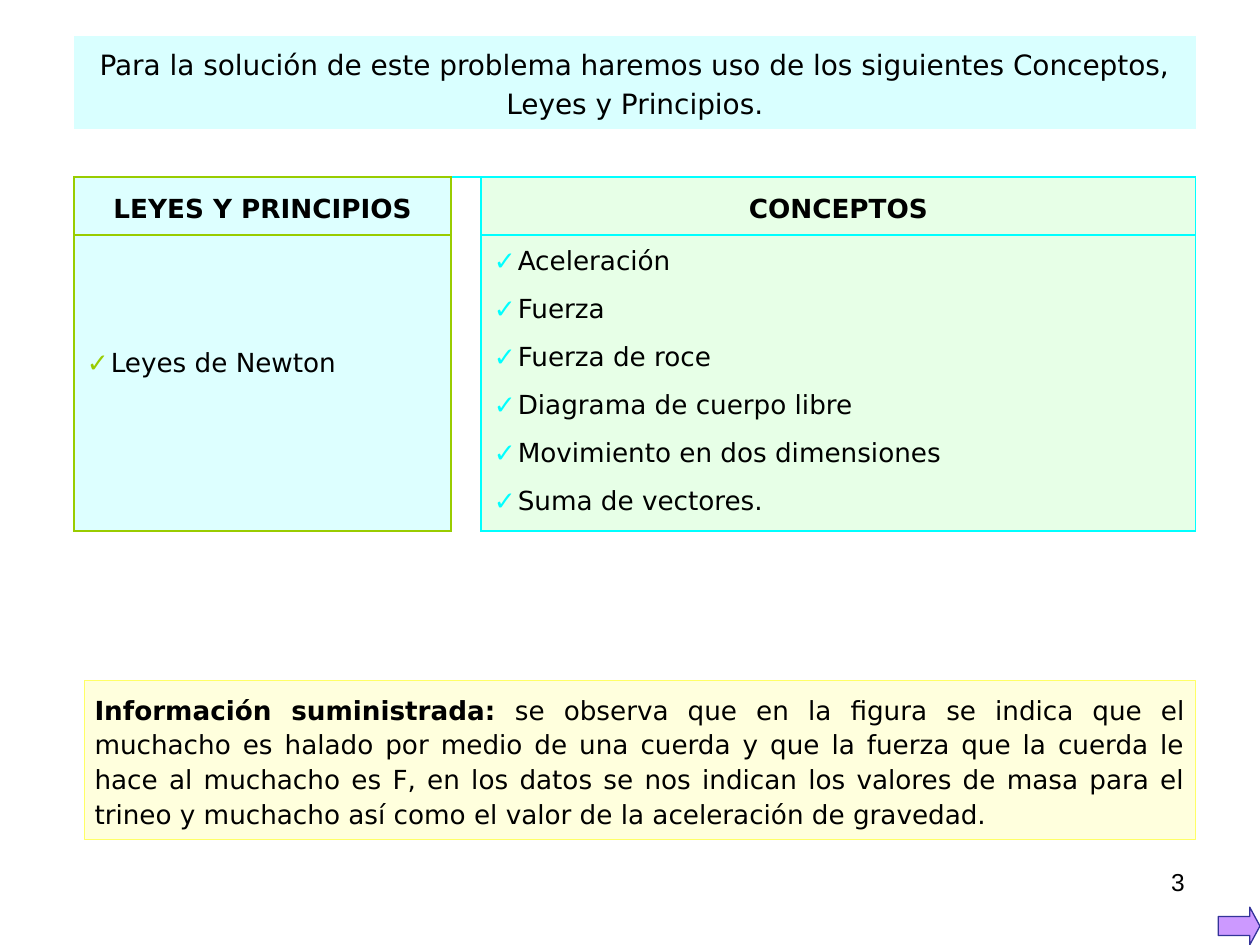
from dataclasses import dataclass

from lxml.etree import SubElement
from pptx import Presentation
from pptx.dml.color import RGBColor
from pptx.enum.shapes import MSO_SHAPE
from pptx.enum.text import MSO_ANCHOR, PP_ALIGN
from pptx.oxml import parse_xml
from pptx.oxml.ns import nsdecls, qn
from pptx.util import Pt

BLACK = RGBColor(0x00, 0x00, 0x00)
WHITE = RGBColor(0xFF, 0xFF, 0xFF)
GREEN = RGBColor(0x99, 0xCC, 0x00)
CYAN = RGBColor(0x00, 0xFF, 0xFF)
SKY = RGBColor(0xD9, 0xFF, 0xFF)
ICE = RGBColor(0xDD, 0xFF, 0xFF)
MINT = RGBColor(0xE7, 0xFF, 0xE7)
CREAM = RGBColor(0xFF, 0xFF, 0xDD)
YELLOW = RGBColor(0xFF, 0xFF, 0x66)
LILAC = RGBColor(0xCC, 0x99, 0xFF)
NAVY = RGBColor(0x33, 0x33, 0x99)

FONT = "DejaVu Sans"
PLAIN = "{2D5ABB26-0587-4C30-8999-92F81FD0307C}"  # table style without grid
EDGE = 1.08
INDENT = 13.7


@dataclass
class Panel:
    col: int
    head: str
    items: list[str]
    fill: RGBColor
    line: RGBColor
    top: float  # upper margin of the list
    space: float  # line spacing of the list


PANELS = [
    Panel(0, "LEYES Y PRINCIPIOS", ["Leyes de Newton"], ICE, GREEN, 64.7, 1.0),
    Panel(2, "CONCEPTOS",
          ["Aceleración", "Fuerza", "Fuerza de roce", "Diagrama de cuerpo libre",
           "Movimiento en dos dimensiones", "Suma de vectores."],
          MINT, CYAN, 3.6, 1.15),
]


def add_mark(para, color: RGBColor) -> None:
    """Give a paragraph a hanging check mark."""
    props = para._p.get_or_add_pPr()
    props.set("marL", str(Pt(INDENT)))
    props.set("indent", str(-Pt(INDENT)))
    tint = SubElement(props, qn("a:buClr"))
    SubElement(tint, qn("a:srgbClr"), val=str(color))
    SubElement(props, qn("a:buFont"), typeface=FONT)
    SubElement(props, qn("a:buChar"), char="✓")


def put_text(frame, text: str, *, size: float = 15, bold: bool = False, font: str = FONT,
             align=PP_ALIGN.LEFT, space: float = 1.0, gap: float = 0,
             mark: RGBColor | None = None, lead: str = "") -> None:
    """Write one paragraph per line of text; lead is a bold opening."""
    for n, line in enumerate(text.split("\n")):
        para = frame.add_paragraph() if n else frame.paragraphs[0]
        if mark is not None:
            add_mark(para, mark)
        para.alignment = align
        para.line_spacing = space
        para.space_before = Pt(gap if n else 0)
        para.space_after = Pt(gap)
        for part, heavy in ((lead, True), (line, bold)):
            if part:
                run = para.add_run()
                run.text = part
                run.font.size = Pt(size)
                run.font.bold = heavy
                run.font.name = font
                run.font.color.rgb = BLACK


def set_edge(cell, **sides: RGBColor) -> None:
    """Draw cell borders; keys are L, R, T and B."""
    props = cell._tc.get_or_add_tcPr()
    for n, side in enumerate(s for s in "LRTB" if s in sides):
        props.insert(n, parse_xml(
            f'<a:ln{side} {nsdecls("a")} w="{Pt(EDGE)}"><a:solidFill>'
            f'<a:srgbClr val="{sides[side]}"/></a:solidFill></a:ln{side}>'))


def set_cell(cell, fill: RGBColor | None, top: float = 3.6, side: float = 7.2) -> None:
    cell.margin_left = cell.margin_right = Pt(side)
    cell.margin_top, cell.margin_bottom = Pt(top), Pt(min(top, 3.6))
    if fill is None:
        cell.fill.background()
    else:
        cell.fill.solid()
        cell.fill.fore_color.rgb = fill


def add_box(slide, kind, left: float, top: float, width: float, height: float,
            fill: RGBColor, line: RGBColor):
    box = slide.shapes.add_shape(kind, Pt(left), Pt(top), Pt(width), Pt(height))
    box.shadow.inherit = False
    box.fill.solid()
    box.fill.fore_color.rgb = fill
    box.line.color.rgb = line
    box.line.width = Pt(0.75)
    return box


def add_grid(slide) -> None:
    cols, rows = [215.3, 17.3, 408.2], [53.3, 27.5, 33.1, 169.2]
    frame = slide.shapes.add_table(4, 3, Pt(42.4), Pt(20.5), Pt(sum(cols)), Pt(sum(rows)))
    grid = frame.table
    grid.first_row = grid.horz_banding = False
    grid._tbl.tblPr.find(qn("a:tableStyleId")).text = PLAIN
    for col, width in zip(grid.columns, cols):
        col.width = Pt(width)
    for row, height in zip(grid.rows, rows):
        row.height = Pt(height)

    # Heading row and the blank row under it
    for n, fill in enumerate((SKY, WHITE)):
        grid.cell(n, 0).merge(grid.cell(n, 2))
        set_cell(grid.cell(n, 0), fill, top=0 if n else 3.6)
    title = grid.cell(0, 0)
    title.vertical_anchor = MSO_ANCHOR.MIDDLE
    put_text(title.text_frame, "Para la solución de este problema haremos uso de los "
             "siguientes Conceptos, Leyes y Principios.",
             size=16, align=PP_ALIGN.CENTER, space=1.2)
    for n in range(3):
        set_edge(grid.cell(1, n), B=CYAN)

    # Gap between the panels
    for n in (2, 3):
        set_cell(grid.cell(n, 1), None, top=0, side=0)
        set_edge(grid.cell(n, 1), L=GREEN, R=CYAN)

    # Panels
    for item in PANELS:
        head, body = grid.cell(2, item.col), grid.cell(3, item.col)
        set_cell(head, item.fill)
        set_cell(body, item.fill, top=item.top)
        head.vertical_anchor = MSO_ANCHOR.MIDDLE
        put_text(head.text_frame, item.head, bold=True, align=PP_ALIGN.CENTER, space=1.2)
        put_text(body.text_frame, "\n".join(item.items), space=item.space, gap=3.7,
                 mark=item.line)
        for cell in (head, body):
            set_edge(cell, **dict.fromkeys("LRTB", item.line))


def main() -> None:
    deck = Presentation()
    deck.slide_width, deck.slide_height = Pt(720), Pt(540)
    slide = deck.slides.add_slide(deck.slide_layouts[6])
    add_grid(slide)

    # Arrow in the corner
    arrow = add_box(slide, MSO_SHAPE.RIGHT_ARROW, 696.2, 518.4, 23.8, 21.6, LILAC, NAVY)
    arrow.adjustments[1] = 0.27

    # Supplied information
    note = add_box(slide, MSO_SHAPE.RECTANGLE, 48.2, 389, 635, 90.7, CREAM, YELLOW)
    frame = note.text_frame
    frame.word_wrap = True
    frame.vertical_anchor = MSO_ANCHOR.TOP
    frame.margin_left = frame.margin_right = Pt(5.8)
    frame.margin_top = frame.margin_bottom = Pt(5.8)
    put_text(frame, " se observa que en la figura se indica que el muchacho es halado por "
             "medio de una cuerda y que la fuerza que la cuerda le hace al muchacho es F, en "
             "los datos se nos indican los valores de masa para el trineo y muchacho así como "
             "el valor de la aceleración de gravedad.",
             lead="Información suministrada:", align=PP_ALIGN.JUSTIFY, space=1.1)

    # Page number
    page = slide.shapes.add_textbox(Pt(516), Pt(491.8), Pt(168), Pt(37.4))
    page.text_frame.word_wrap = True
    put_text(page.text_frame, "3", size=14, font="Arial", align=PP_ALIGN.RIGHT)

    deck.save("out.pptx")


if __name__ == "__main__":
    main()
